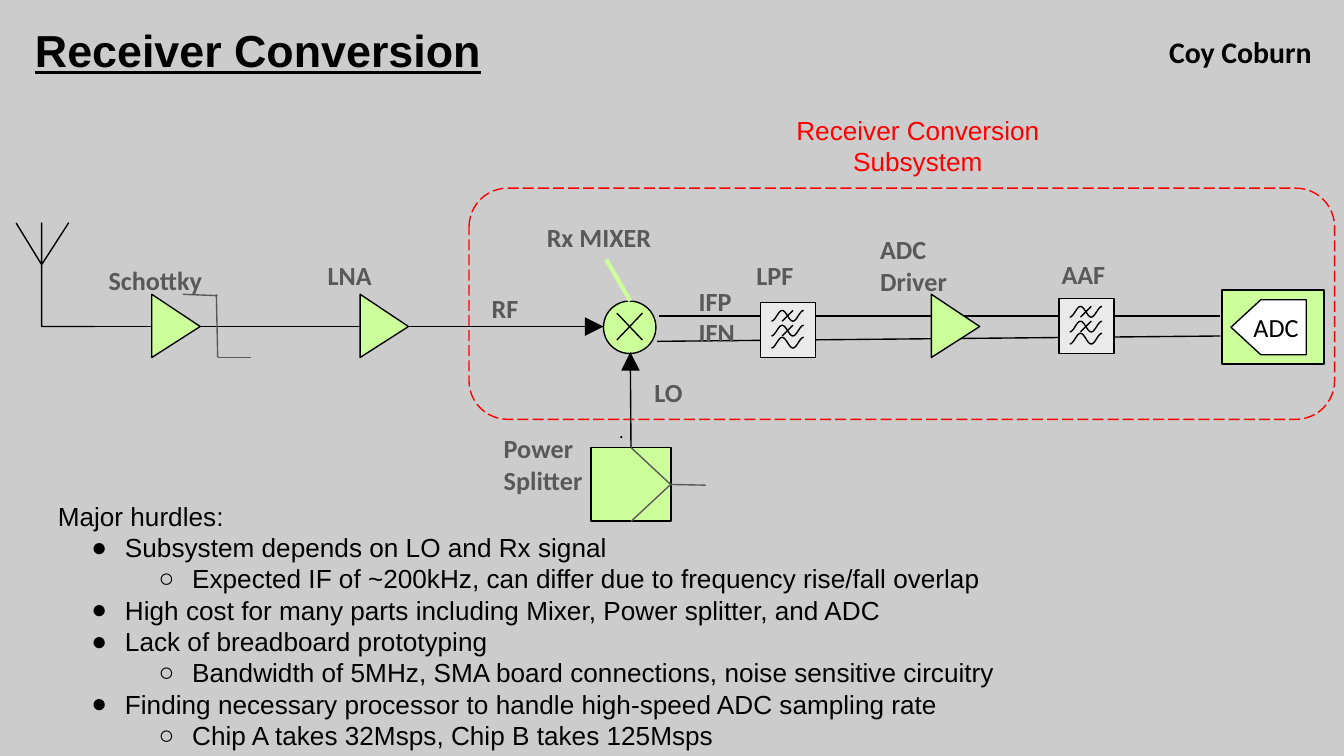
from math import cos, pi

from lxml import etree
from pptx import Presentation
from pptx.dml.color import RGBColor
from pptx.enum.dml import MSO_LINE
from pptx.enum.shapes import MSO_CONNECTOR, MSO_SHAPE
from pptx.enum.text import MSO_ANCHOR, MSO_AUTO_SIZE, PP_ALIGN
from pptx.oxml.ns import qn
from pptx.util import Inches, Pt

STRAIGHT = MSO_CONNECTOR.STRAIGHT
RECT, ROUNDED = MSO_SHAPE.RECTANGLE, MSO_SHAPE.ROUNDED_RECTANGLE
OVAL, PENTAGON = MSO_SHAPE.OVAL, MSO_SHAPE.PENTAGON
LONG_DASH = MSO_LINE.LONG_DASH
TOP, MIDDLE = MSO_ANCHOR.TOP, MSO_ANCHOR.MIDDLE
LEFT, CENTER = PP_ALIGN.LEFT, PP_ALIGN.CENTER
NO_FIT = MSO_AUTO_SIZE.NONE
SIDE_TOP, SIDE_BOTTOM, SIDE_RIGHT = 0, 2, 3

BLACK, GRAY, RED, WHITE = "000000", "595959", "FF0000", "FFFFFF"
GREEN, PALE, BACKDROP = "CCFF99", "EAEAEA", "CCCCCC"
AXIS = 24.3


def color(hex_code):
    return RGBColor.from_string(hex_code)


def cells(count):
    return Inches(count / 10)


class Diagram:
    """Slide on a grid of 100 columns and 56.25 rows, with one method per kind of element."""

    def __init__(self):
        self.deck = Presentation()
        self.deck.slide_width, self.deck.slide_height = cells(100), cells(56.25)
        self.slide = self.deck.slides.add_slide(self.deck.slide_layouts[1])
        self.shapes = self.slide.shapes
        backdrop = self.slide.background.fill
        backdrop.solid()
        backdrop.fore_color.rgb = color(BACKDROP)

    def paint(self, shape, fill, line, width):
        shape.shadow.inherit = False
        if fill:
            shape.fill.solid()
            shape.fill.fore_color.rgb = color(fill)
        else:
            shape.fill.background()
        shape.line.color.rgb = color(line)
        shape.line.width = Pt(width)
        return shape

    def block(self, preset, place, fill=None, line=BLACK, width=0.75):
        shape = self.shapes.add_shape(preset, *map(cells, place))
        return self.paint(shape, fill, line, width)

    def outline(self, points, fill=None, closed=False):
        start, *others = [(cells(x), cells(y)) for x, y in points]
        builder = self.shapes.build_freeform(*start, scale=1.0)
        builder.add_line_segments(others, close=closed)
        return self.paint(builder.convert_to_shape(), fill, BLACK, 0.75)

    def wire(self, start, end, line=BLACK, width=0.75, arrow=False):
        link = self.shapes.add_connector(STRAIGHT, *map(cells, (*start, *end)))
        link.line.color.rgb = color(line)
        link.line.width = Pt(width)
        properties = link.element.spPr
        if arrow:
            etree.SubElement(properties.find(qn("a:ln")), qn("a:tailEnd"),
                             type="triangle", w="lg", len="lg")
        etree.SubElement(properties, qn("a:effectLst"))
        return link

    def frame(self, holder, place, inset=1, anchor=TOP):
        holder.left, holder.top, holder.width, holder.height = map(cells, place)
        text = holder.text_frame
        text.word_wrap, text.auto_size = True, NO_FIT
        text.vertical_anchor = anchor
        text.margin_left = text.margin_right = cells(1)
        text.margin_top = text.margin_bottom = cells(inset)
        return text

    def add_words(self, paragraph, words, font="Calibri", size=14, ink=GRAY,
                  bold=True, align=LEFT):
        paragraph.alignment = align
        run = paragraph.add_run()
        run.text = words
        run.font.name, run.font.size = font, Pt(size)
        run.font.bold, run.font.color.rgb = bold, color(ink)
        return run

    def label(self, place, *lines, inset=1, **style):
        text = self.frame(self.shapes.add_textbox(*map(cells, place)), place, inset)
        for index, words in enumerate(lines):
            paragraph = text.add_paragraph() if index else text.paragraphs[0]
            self.add_words(paragraph, words, **style)

    def title(self, place, words):
        text = self.frame(self.shapes.title, place)
        heading = self.add_words(text.paragraphs[0], words, "Arial", 24, BLACK)
        heading.font.underline = True

    def outline_list(self, place, items):
        text = self.frame(self.slide.placeholders[1], place)
        for index, (depth, words) in enumerate(items):
            paragraph = text.add_paragraph() if index else text.paragraphs[0]
            paragraph.level = max(depth - 1, 0)
            paragraph.space_before = Pt(0)
            properties = paragraph._p.get_or_add_pPr()
            properties.set("marL", str(cells(5 * depth)))
            properties.set("indent", str(cells(-2.5 if depth else 0)))
            if depth:
                etree.SubElement(properties, qn("a:buChar"), char="●○"[depth - 1])
            else:
                etree.SubElement(properties, qn("a:buNone"))
            self.add_words(paragraph, words, "Arial", ink=BLACK, bold=False)

    def amplifier(self, left):
        self.outline([(left, 21.9), (left, 26.6), (left + 3.6, AXIS)], GREEN, True)

    def filter(self, left, top):
        self.block(RECT, (left, top, 4.1, 4.1), PALE)
        steps = 24
        for offset, crossed in ((2.6, False), (0.6, True), (1.7, True)):
            crest = top + offset
            self.outline([(left + 0.8 + 2.4 * step / steps,
                           crest + 0.4 * (1 + cos(3 * pi * step / steps)))
                          for step in range(steps + 1)], PALE)
            if crossed:
                self.wire((left + 1.6, crest + 0.8), (left + 2.4, crest))

    def save(self):
        self.deck.save("out.pptx")


def main():
    page = Diagram()
    page.title((1.6, 0.7, 50.9, 4.7), "Receiver Conversion")
    page.outline_list((3.3, 36.2, 93.4, 16.9), [
        (0, "Major hurdles:"),
        (1, "Subsystem depends on LO and Rx signal"),
        (2, "Expected IF of ~200kHz, can differ due to frequency rise/fall overlap"),
        (1, "High cost for many parts including Mixer, Power splitter, and ADC"),
        (1, "Lack of breadboard prototyping"),
        (2, "Bandwidth of 5MHz, SMA board connections, noise sensitive circuitry"),
        (1, "Finding necessary processor to handle high-speed ADC sampling rate"),
        (2, "Chip A takes 32Msps, Chip B takes 125Msps"),
    ])

    subsystem = page.block(ROUNDED, (34.9, 14, 64.4, 17.2), line=RED)
    subsystem.adjustments[0] = 0.167
    subsystem.line.dash_style = LONG_DASH

    page.wire((5.8, AXIS), (44.9, AXIS), arrow=True)
    page.wire((49, 23.5), (90.8, 23.5))
    page.wire((48.9, 25.4), (90.8, 25))

    page.block(OVAL, (44.9, 22.4, 3.9, 3.9), GREEN)
    for left, right in ((45.9, 47.8), (47.8, 45.9)):
        page.wire((left, 23.3), (right, 25.3))
    page.wire((45.1, 19.3), (46.9, 22.4), GREEN, 2.25)

    antenna_fork = (3.1, 19.7)
    page.outline([(1.2, 16.6), antenna_fork, (3.1, 16.6), antenna_fork,
                  (5.1, 16.6), antenna_fork, (3.1, AXIS), (7.1, AXIS)])

    for left in (11.3, 26.8, 69.3):
        page.amplifier(left)
    for left, top in ((56.6, 22.5), (78.8, 22.2)):
        page.filter(left, top)
    for start, end in (((16.1, 21.9), (16.2, 26.6)), ((13.6, 21.9), (16.2, 22)),
                       ((16.2, 26.6), (18.7, 26.6))):
        page.wire(start, end, GRAY)

    page.block(RECT, (90.9, 21.6, 7.6, 5.5), GREEN, width=1)
    converter_place = (91.6, 22.3, 5.6, 4.1)
    converter = page.block(PENTAGON, converter_place, WHITE)
    converter.adjustments[0] = 0.542
    converter.element.spPr.find(qn("a:xfrm")).set("flipH", "1")
    converter_text = page.frame(converter, converter_place, 0, MIDDLE)
    converter_text.margin_left = converter_text.margin_right = 0
    page.add_words(converter_text.paragraphs[0], "ADC", ink=BLACK, bold=False,
                   align=CENTER)

    splitter = page.block(RECT, (44, 33.3, 5.9, 5.5), GREEN, width=1)
    page.block(OVAL, (46.2, 32.5, 0.05, 0.05), GREEN)
    oscillator = page.wire((47, 33.3), (46.9, 26.2), arrow=True)
    oscillator.begin_connect(splitter, SIDE_TOP)
    for end, side in (((46.9, 33.3), SIDE_TOP), ((46.9, 38.8), SIDE_BOTTOM),
                      ((52.5, 36.1), None)):
        branch = page.wire((49.9, 36.1), end, GRAY)
        branch.begin_connect(splitter, SIDE_RIGHT)
        if side is not None:
            branch.end_connect(splitter, side)

    for place, words in (((39.7, 16, 10.7, 3.3), "Rx MIXER"),
                         ((23.4, 18.8, 7.6, 3.3), "LNA"),
                         ((55.3, 18.8, 7.2, 3.3), "LPF"),
                         ((64.5, 16.9, 10.4, 3.3), "ADC Driver"),
                         ((78, 18.7, 12.9, 3.3), "AAF")):
        page.label(place, words, inset=0.5)
    for place, *lines in (((7.1, 18.7, 10.4, 2.1), "Schottky"),
                          ((47.7, 27, 5.6, 2.1), "LO"),
                          ((36.5, 31.2, 12.4, 2.1), "Power Splitter"),
                          ((35.6, 21.1, 4.1, 1.3), "RF"),
                          ((51, 20.2, 5.1, 4.7), "IFP", "IFN")):
        page.label(place, *lines)
    page.label((56.6, 7.5, 23.4, 3.9), "Receiver Conversion Subsystem",
               font="Arial", ink=RED, bold=False, align=CENTER)
    page.label((86, 1.5, 14, 5.5), "Coy Coburn", size=16, ink=BLACK)
    page.save()


if __name__ == "__main__":
    main()
